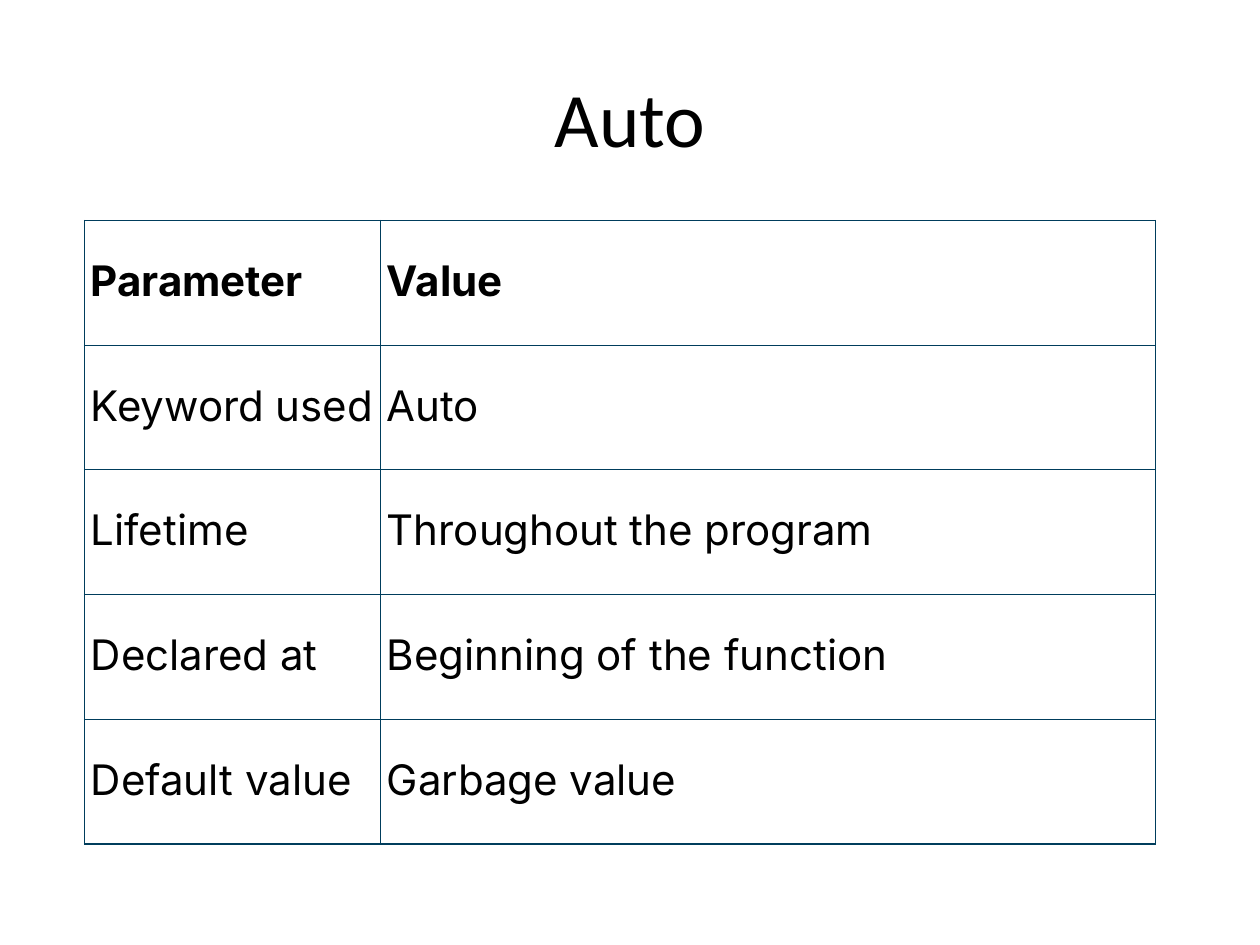
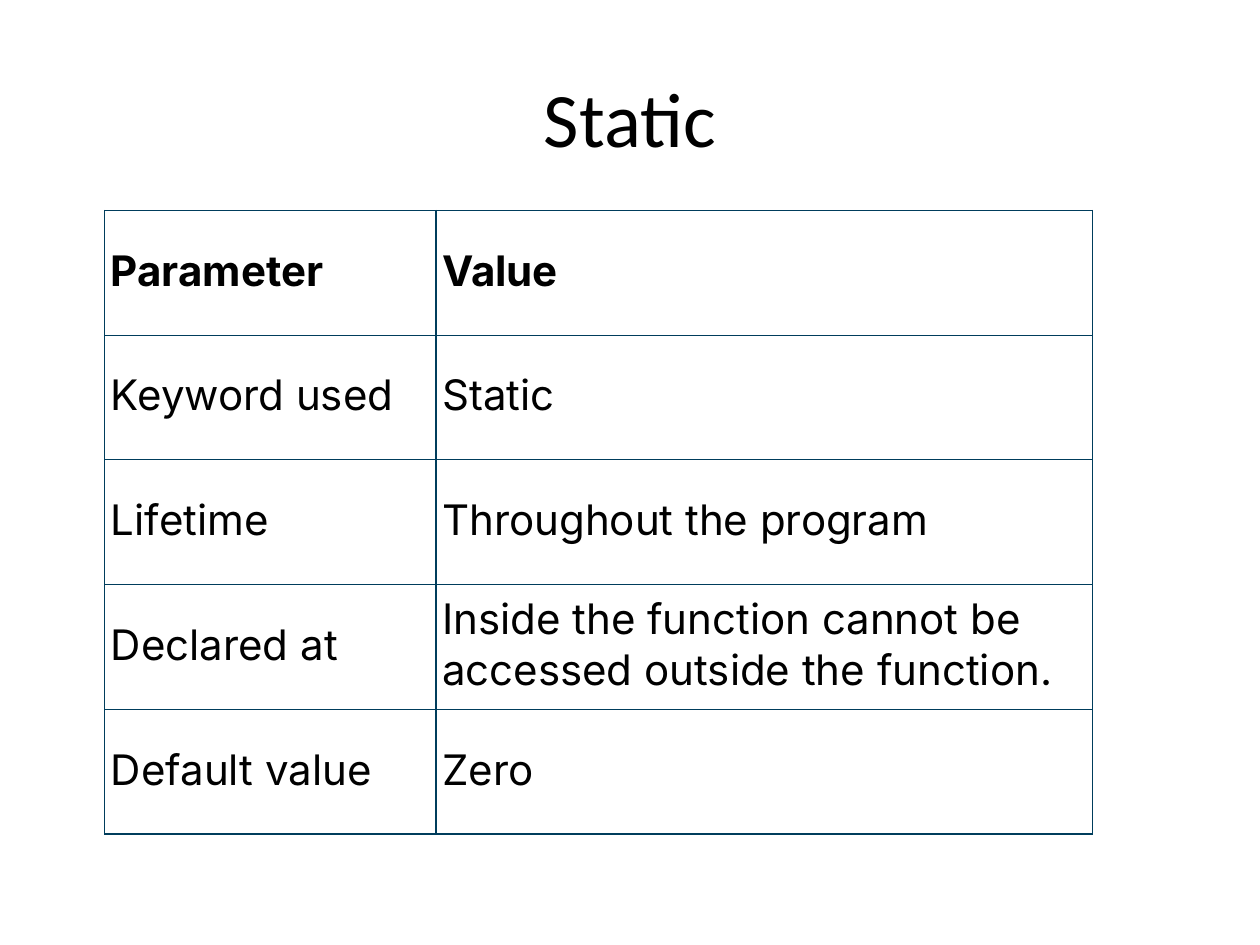
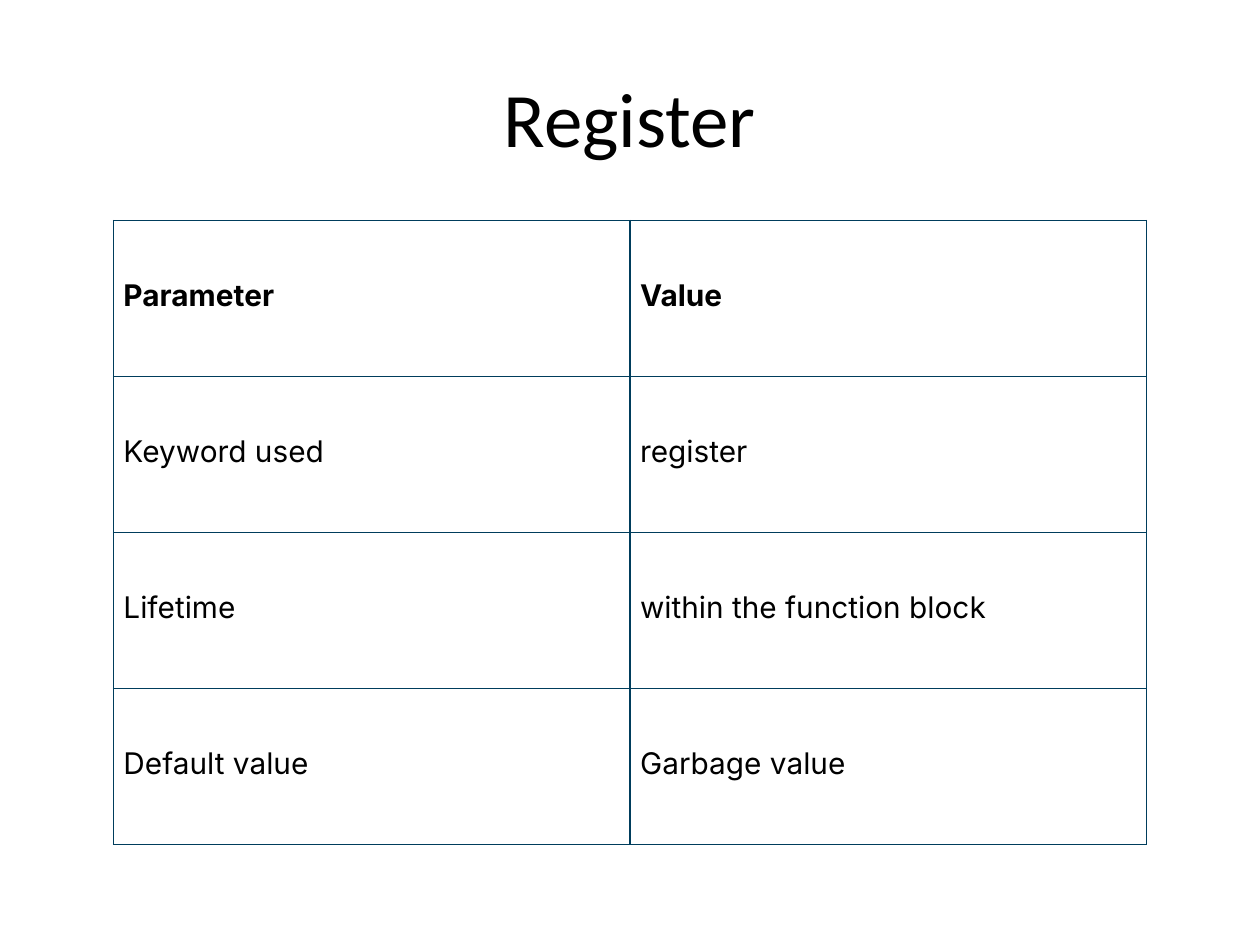
"""Build three slides that tabulate the storage classes auto, static and register."""
from dataclasses import dataclass

from lxml import etree
from pptx import Presentation
from pptx import util as u
from pptx.dml.color import RGBColor
from pptx.enum import text
from pptx.oxml.ns import qn


@dataclass(frozen=True)
class Theme:
    """Colours, fonts and sizes shared by the slides."""
    paper: str = "FFFFFF"
    ink: str = "000000"
    rule: str = "003D5C"
    rule_width: float = 0.75
    title_font: str = "Calibri"
    title_size: int = 44
    body_font: str = "Inter"
    table_height: float = 0.66


@dataclass(frozen=True)
class TableStyle:
    """Type size and cell margins (left, top, right, bottom, in inches)."""
    size: int
    margins: tuple


THEME = Theme()
LARGE = TableStyle(24, (0.05, 0.01, 0.05, 0.04))
SMALL = TableStyle(17, (0.08, 0.02, 0.08, 0.06))
HEADER = ("Parameter", "Value")


def format_runs(para, font, size, bold=False):
    """Set the typeface, size, weight and colour of a paragraph's runs."""
    for span in para.runs:
        span.font.name = font
        span.font.size = u.Pt(size)
        span.font.bold = bold
        span.font.color.rgb = RGBColor.from_string(THEME.ink)


def add_titled_page(deck, title):
    """Add a title-only slide with the shared title style."""
    page = deck.slides.add_slide(deck.slide_layouts[5])
    page.background.fill.solid()
    page.background.fill.fore_color.rgb = RGBColor.from_string(THEME.paper)
    box = page.shapes.title
    box.left, box.top = int(deck.slide_width * 0.05), int(deck.slide_height * 0.04)
    box.width, box.height = int(deck.slide_width * 0.9), int(deck.slide_height / 6)
    frame = box.text_frame
    frame.text = title
    frame.vertical_anchor = text.MSO_ANCHOR.MIDDLE
    para = frame.paragraphs[0]
    para.alignment = text.PP_ALIGN.CENTER
    format_runs(para, THEME.title_font, THEME.title_size)
    return page


def add_borders(cell):
    """Draw a thin rule on all four sides of a cell."""
    properties = cell._tc.get_or_add_tcPr()
    for position, side in enumerate(("a:lnL", "a:lnR", "a:lnT", "a:lnB")):
        line = etree.Element(qn(side), w=str(u.Pt(THEME.rule_width)))
        fill = etree.SubElement(line, qn("a:solidFill"))
        etree.SubElement(fill, qn("a:srgbClr"), val=THEME.rule)
        properties.insert(position, line)


def fill_cell(cell, words, style, bold):
    """Write and format one table cell."""
    cell.fill.solid()
    cell.fill.fore_color.rgb = RGBColor.from_string(THEME.paper)
    cell.vertical_anchor = text.MSO_ANCHOR.MIDDLE
    (cell.margin_left, cell.margin_top,
     cell.margin_right, cell.margin_bottom) = map(u.Inches, style.margins)
    cell.text_frame.text = words
    format_runs(cell.text_frame.paragraphs[0], THEME.body_font, style.size, bold)
    add_borders(cell)


def add_parameter_table(deck, page, corner, widths, style, entries):
    """Add a table whose corner and column widths are shares of the slide's size."""
    rows = [HEADER, *entries]
    left = int(deck.slide_width * corner[0])
    top = int(deck.slide_height * corner[1])
    columns = [int(deck.slide_width * share) for share in widths]
    height = int(deck.slide_height * THEME.table_height)
    table = page.shapes.add_table(
        len(rows), len(columns), left, top, sum(columns), height).table
    table.horz_banding = False
    for column, width in zip(table.columns, columns):
        column.width = width
    for row, (line, entry) in zip(table.rows, enumerate(rows)):
        for cell, words in zip(row.cells, entry):
            fill_cell(cell, words, style, bold=line == 0)


def main():
    """Build and save the deck."""
    deck = Presentation()
    deck.slide_width, deck.slide_height = u.Inches(10), u.Inches(7.5)
    low, high = 1.75 / 7.5, 1.67 / 7.5
    storage_classes = [
        ("Auto", (0.067, low), (0.235, 0.615), LARGE, [
            ("Keyword used", "Auto"),
            ("Lifetime", "Throughout the program"),
            ("Declared at", "Beginning of the function"),
            ("Default value", "Garbage value")]),
        ("Static", (0.083, high), (0.263, 0.521), LARGE, [
            ("Keyword used", "Static"),
            ("Lifetime", "Throughout the program"),
            ("Declared at",
             "Inside the function cannot be accessed outside the function."),
            ("Default value", "Zero")]),
        ("Register", (0.09, low), (0.41, 0.41), SMALL, [
            ("Keyword used", "register"),
            ("Lifetime", "within the function block"),
            ("Default value", "Garbage value")]),
    ]
    for title, corner, widths, style, entries in storage_classes:
        page = add_titled_page(deck, title)
        add_parameter_table(deck, page, corner, widths, style, entries)
    deck.save("out.pptx")


if __name__ == "__main__":
    main()
